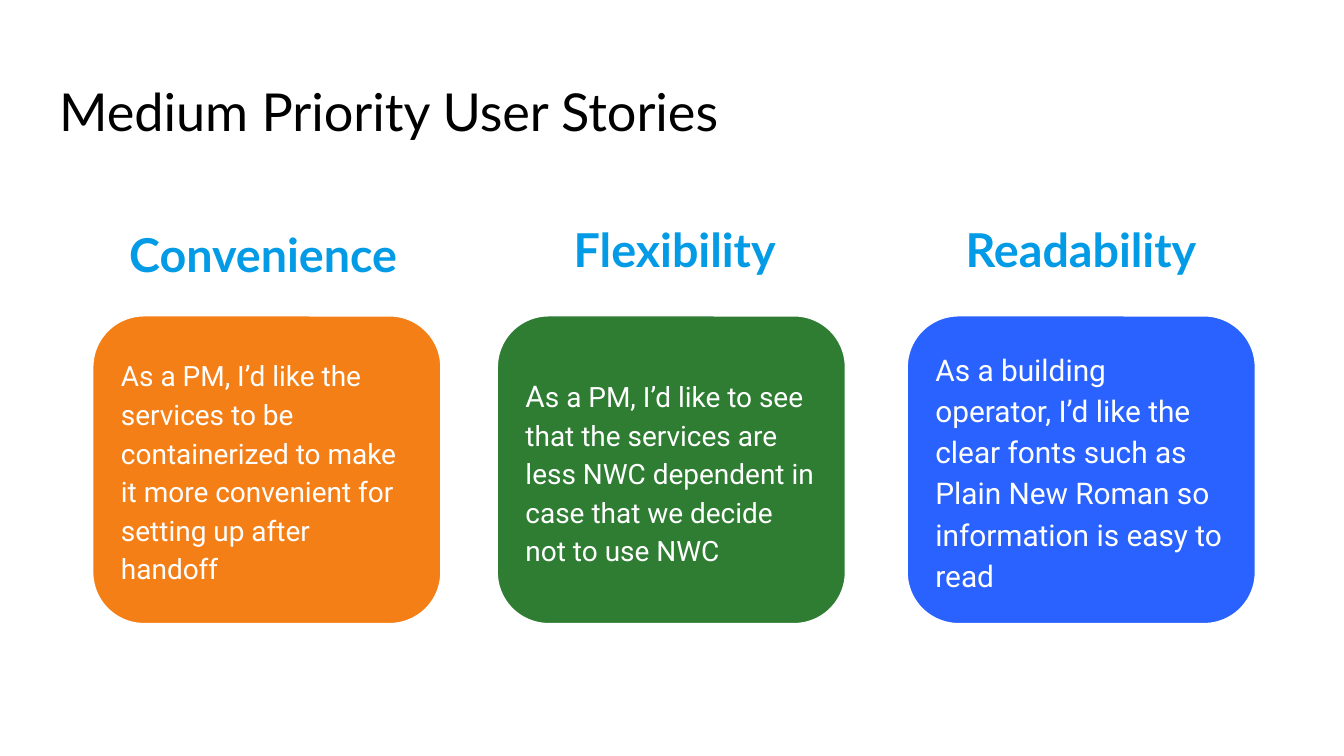
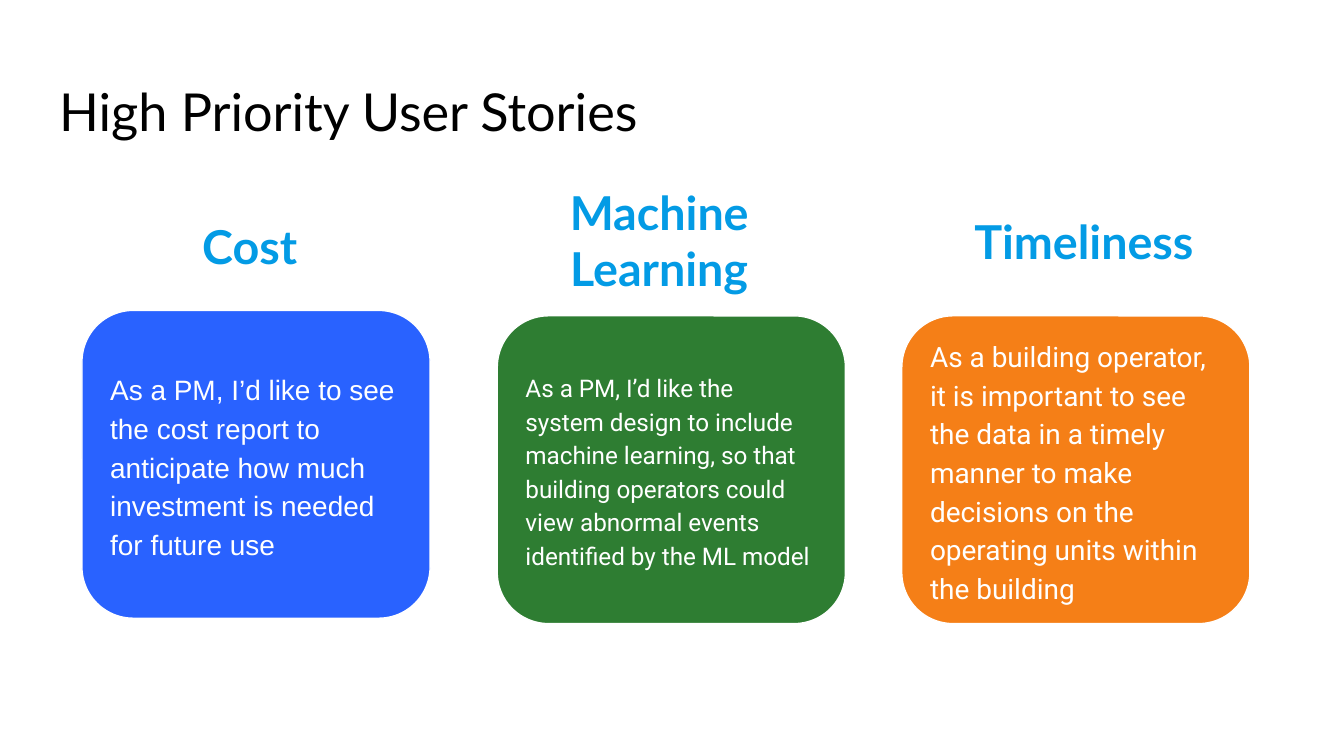
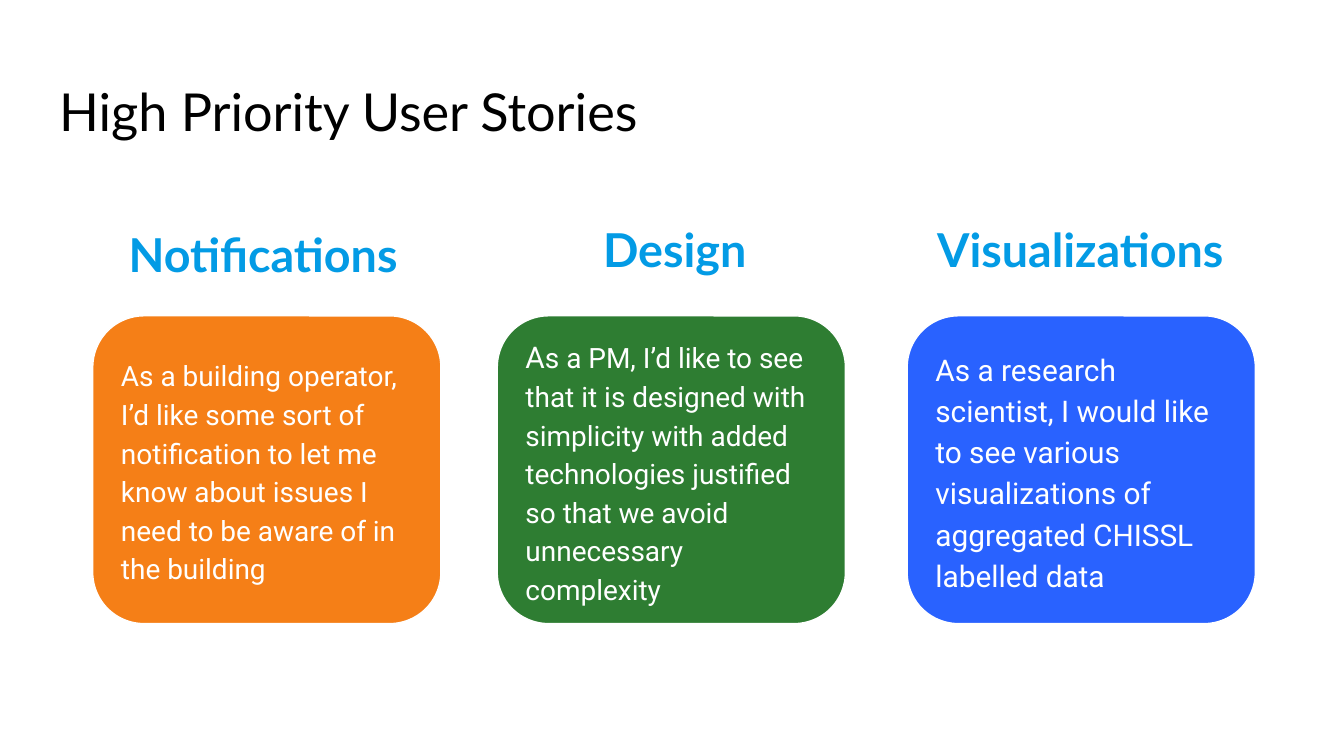
from pptx import Presentation
from pptx.dml.color import RGBColor as RGB
from pptx.enum.shapes import MSO_SHAPE as Shape
from pptx.enum.text import MSO_ANCHOR as Anchor, MSO_AUTO_SIZE as Fit, PP_ALIGN as Align
from pptx.util import Inches, Pt

theme = {
    "title": {"name": "Lato", "size": Pt(28), "color": RGB.from_string("000000")},
    "heading": {"name": "Lato", "size": Pt(25), "bold": True, "color": RGB.from_string("039BE5")},
    "story": {"name": "Roboto", "size": Pt(15), "color": RGB.from_string("FFFFFF")},
    "large": {"size": Pt(16)},
    "small": {"size": Pt(13)},
    "tall_space": {"size": Pt(28)},
    "white": RGB.from_string("FFFFFF"),
    "orange": RGB.from_string("F57F17"),
    "green": RGB.from_string("2E7D32"),
    "blue": RGB.from_string("2962FF"),
}
insets = dict.fromkeys(["margin_left", "margin_top", "margin_right", "margin_bottom"], Inches(0.1))
title_frame = {**insets, "word_wrap": True, "auto_size": Fit.NONE, "vertical_anchor": Anchor.TOP}
heading_frame = {**insets, "word_wrap": True, "auto_size": Fit.SHAPE_TO_FIT_TEXT, "vertical_anchor": Anchor.TOP}
story_frame = {**insets, "word_wrap": True, "vertical_anchor": Anchor.MIDDLE}
title_line = {"alignment": Align.LEFT}
heading_line = {"alignment": Align.CENTER}
story_line = {"alignment": Align.LEFT, "line_spacing": 1.15}

card_width, card_height = Inches(2.59), Inches(2.29)
outer_columns = [(0.69, 2.35), (3.7, 2.35), (6.75, 2.35)]
outer_headings = [(0.79, 1.54, 2.43, 0.67), (3.76, 1.54, 2.52, 0.62), (6.67, 1.54, 2.82, 0.62)]
story_slides = [
    ("Medium Priority User Stories", outer_columns, outer_headings, [
        ("orange", [("Convenience", {}), (" ", theme["tall_space"])],
         [("As a PM, I’d like the services to be containerized to make it more convenient "
           "for setting up after handoff", {})]),
        ("green", [("Flexibility", {})],
         [("A", theme["large"]),
          ("s a PM, I’d like to see that the services are less NWC dependent in case that "
           "we decide not to use NWC", {})]),
        ("blue", [("Readability ", {})],
         [("As a building operator, I’d like the clear fonts such as Plain New Roman so "
           "information is easy to read", theme["large"])]),
    ]),
    ("High Priority User Stories",
     [(0.61, 2.31), (3.7, 2.35), (6.71, 2.35)],
     [(0.61, 1.48, 2.59, 0.67), (3.79, 1.27, 2.23, 1.04), (6.95, 1.48, 2.23, 0.62)], [
        ("blue", [("Cost", {}), (" ", theme["tall_space"])],
         [("As a PM, I’d like to see the cost report to anticipate how much investment is "
           "needed for future use", {"name": "Arial"})]),
        ("green", [("Machine Learning", {})],
         [("As a PM, I’d like the system design to include machine learning, so that building "
           "operators could view abnormal events identified by the ML model", theme["small"])]),
        ("orange", [("Timeliness", {})],
         [("As a building operator, it is important to see the data in a timely manner to make "
           "decisions on the operating units within the building", {})]),
    ]),
    ("High Priority User Stories", outer_columns, outer_headings, [
        ("orange", [("Notifications", {}), (" ", theme["tall_space"])],
         [("As a building operator, I’d like some sort of notification to let me know about "
           "issues I need to be aware of in the building", {})]),
        ("green", [("Design", {})],
         [("A", theme["large"]),
          ("s a PM, I’d like to see that it is designed with simplicity with added "
           "technologies justified so that we avoid unnecessary complexity", {})]),
        ("blue", [("Visualizations ", {})],
         [("As a research scientist, I would like to see various visualizations of aggregated "
           "CHISSL labelled data", theme["large"])]),
    ]),
]


def set_values(target, values):
    for key, value in values.items():
        if key == "color":
            target.color.rgb = value
        else:
            setattr(target, key, value)


def write(holder, runs, style, frame_values, line_values):
    set_values(holder.text_frame, frame_values)
    paragraph = holder.text_frame.paragraphs[0]
    set_values(paragraph, line_values)
    for text, changes in runs:
        run = paragraph.add_run()
        run.text = text
        set_values(run.font, {**theme[style], **changes})


deck = Presentation()
deck.slide_width = Inches(10)
deck.slide_height = deck.slide_width * 9 // 16
title_only = deck.slide_layouts[5]

for priority, card_places, heading_places, stories in story_slides:
    slide = deck.slides.add_slide(title_only)
    title = slide.shapes.title
    set_values(title, {"left": Inches(0.34), "top": Inches(0.49),
                       "width": Inches(9.32), "height": Inches(0.63)})
    write(title, [(priority, {})], "title", title_frame, title_line)

    for (left, top), heading_place, (color, topic, story) in zip(card_places, heading_places, stories):
        card = slide.shapes.add_shape(Shape.ROUNDED_RECTANGLE, Inches(left), Inches(top),
                                      card_width, card_height)
        card.shadow.inherit = False
        card.fill.solid()
        card.fill.fore_color.rgb = theme[color]
        set_values(card.line, {"color": theme["white"], "width": Pt(0.75)})
        write(card, story, "story", story_frame, story_line)

        heading = slide.shapes.add_textbox(*map(Inches, heading_place))
        write(heading, topic, "heading", heading_frame, heading_line)

deck.save("out.pptx")
